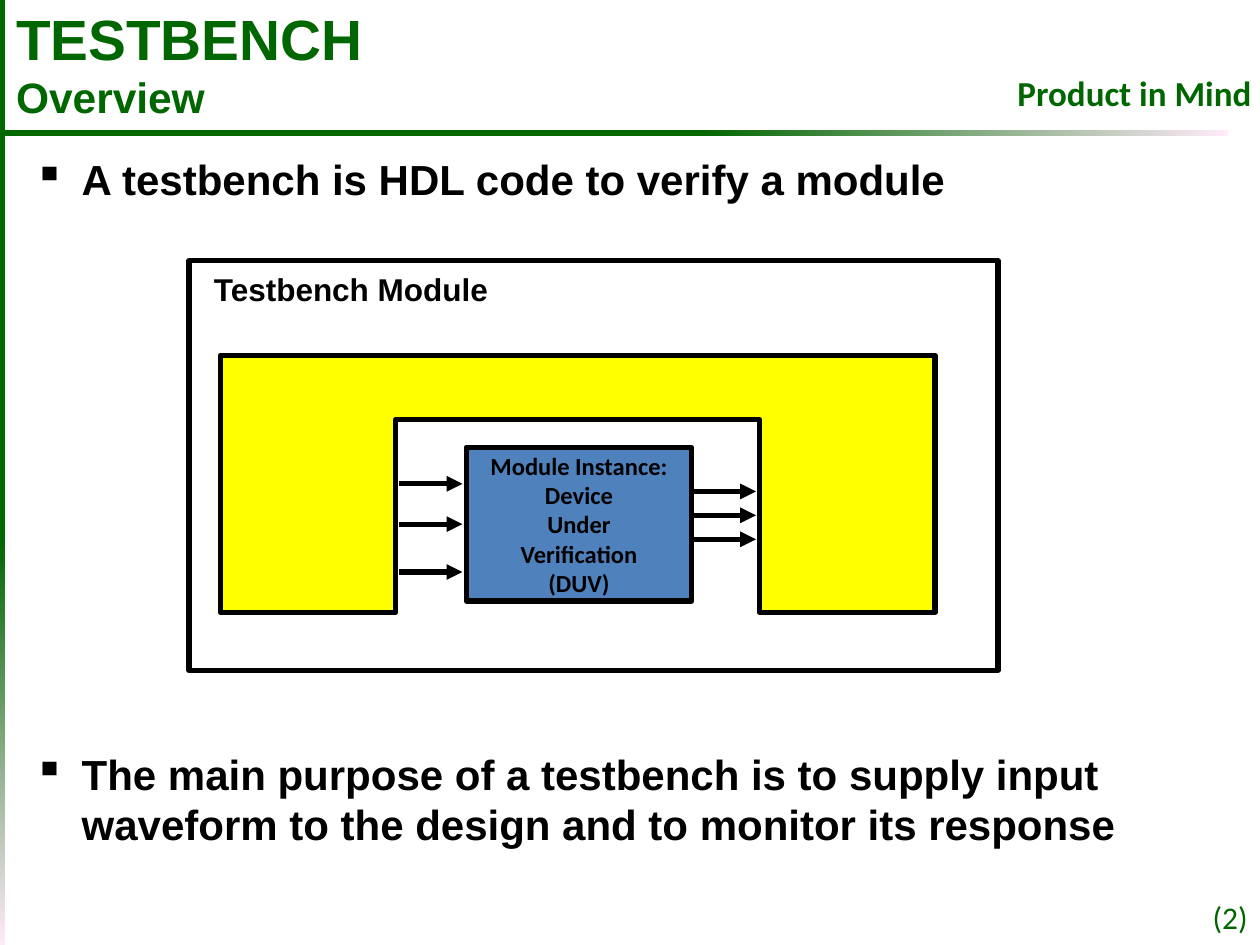
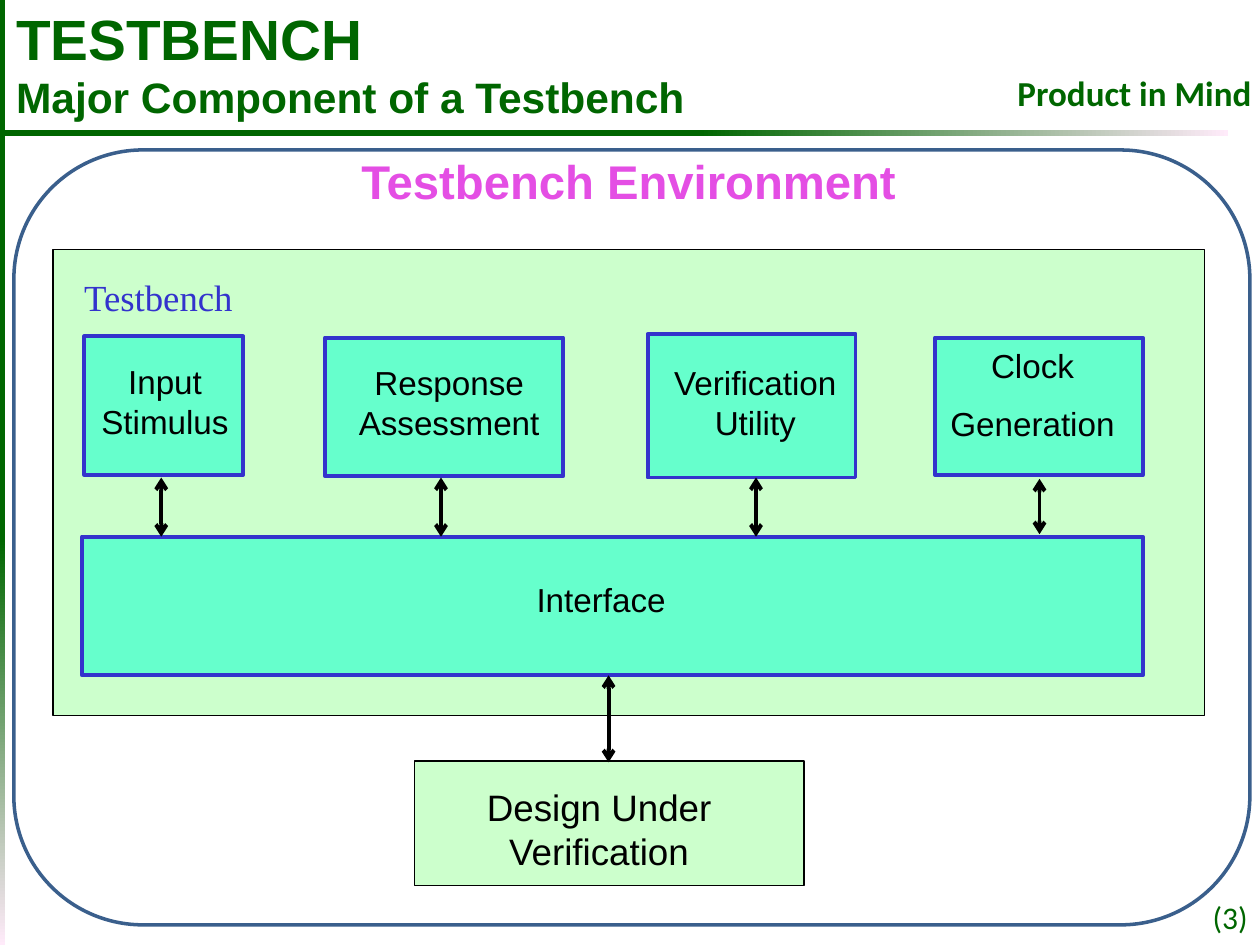
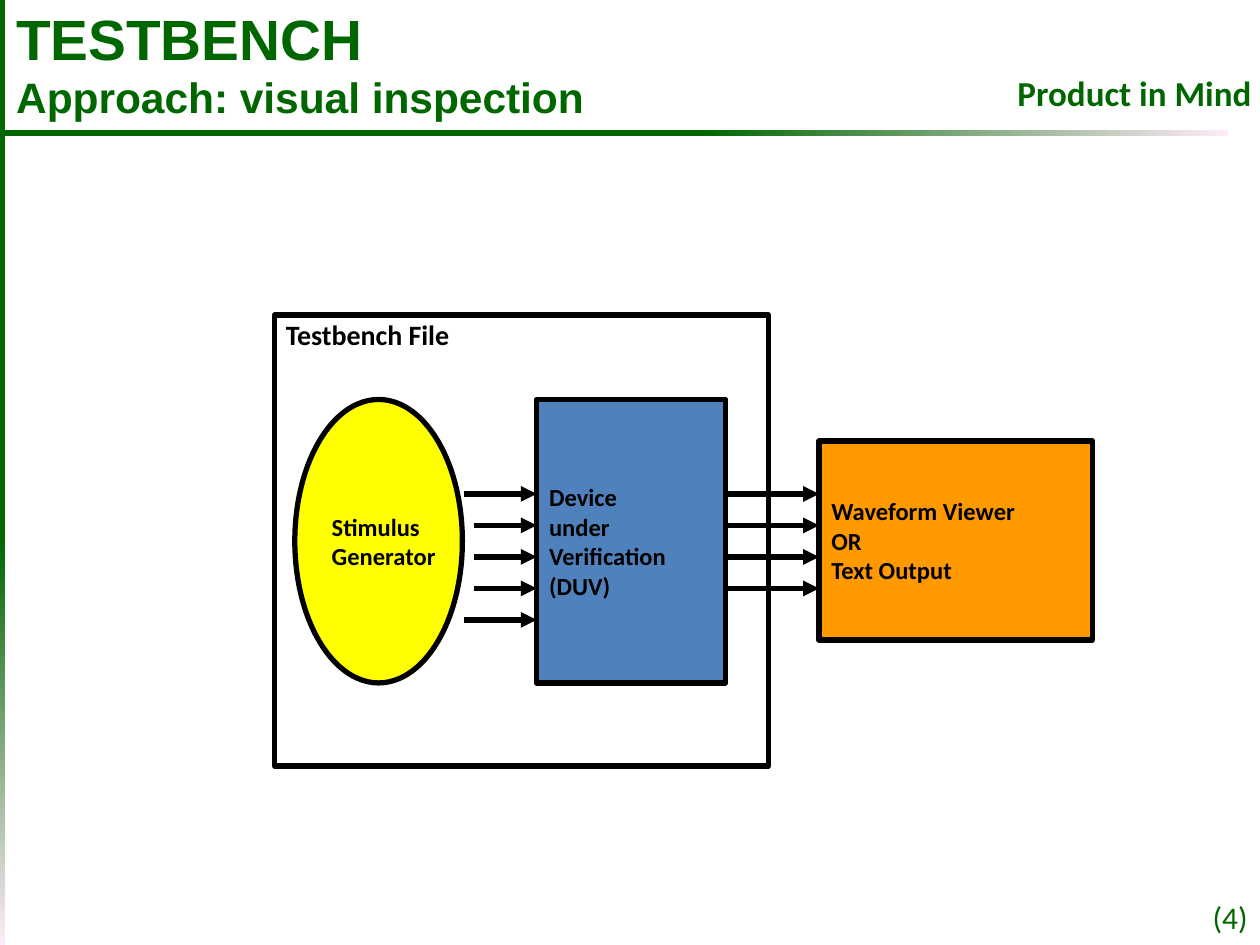
import pptx
import pptx.util
import pptx.dml.color
import pptx.enum.shapes
import pptx.enum.text
import pptx.oxml
import pptx.oxml.ns

RGBColor = pptx.dml.color.RGBColor
Pt = pptx.util.Pt
Inches = pptx.util.Inches
SHAPE = pptx.enum.shapes.MSO_SHAPE
LEFT, CENTER, RIGHT = (pptx.enum.text.PP_ALIGN.LEFT, pptx.enum.text.PP_ALIGN.CENTER,
                       pptx.enum.text.PP_ALIGN.RIGHT)
TOP, MIDDLE = pptx.enum.text.MSO_ANCHOR.TOP, pptx.enum.text.MSO_ANCHOR.MIDDLE

GREEN = RGBColor(0x00, 0x66, 0x00)
PALE_PINK = RGBColor(0xFF, 0xEB, 0xFA)
BLACK = RGBColor(0x00, 0x00, 0x00)
YELLOW = RGBColor(0xFF, 0xFF, 0x00)
BLUE = RGBColor(0x4F, 0x81, 0xBD)
ORANGE = RGBColor(0xFF, 0x99, 0x00)
MINT = RGBColor(0xCC, 0xFF, 0xCC)
AQUA = RGBColor(0x66, 0xFF, 0xCC)
INDIGO = RGBColor(0x33, 0x33, 0xCC)
MAGENTA = RGBColor(0xE4, 0x4E, 0xE4)
STEEL = RGBColor(0x3A, 0x5F, 0x8C)

SANS, BODY, SERIF = "Arial", "Calibri", "Times New Roman"
COLUMNS, ROWS = 100, 75


def add_xml(parent, tag, **attributes):
    element = pptx.oxml.parse_xml(f"<a:{tag} {pptx.oxml.ns.nsdecls('a')}/>")
    for name, value in attributes.items():
        element.set(name, value)
    parent.append(element)
    return element


class Deck:
    """Places elements on the current slide; places are (left, top, width, height) in grid cells."""

    def __init__(self):
        self.presentation = pptx.Presentation()
        self.presentation.slide_width = Inches(10)
        self.presentation.slide_height = Inches(7.5)
        self.column = self.presentation.slide_width / COLUMNS
        self.row = self.presentation.slide_height / ROWS
        self.slide = None

    def x(self, columns):
        return round(columns * self.column)

    def y(self, rows):
        return round(rows * self.row)

    def place(self, left, top, width, height):
        return self.x(left), self.y(top), self.x(width), self.y(height)

    def new_slide(self, subtitle, number):
        """Start a slide with its title, gradient bands, slogan and number."""
        self.slide = self.presentation.slides.add_slide(self.presentation.slide_layouts[6])
        self.text((92.5, 70.8, 7.5, 4), f"({number})", 18, BODY, GREEN, align=RIGHT)
        self.band((0, 0, 0.4, ROWS), 270)
        self.band((0, 10.3, 97.5, 0.5), 0)
        self.text((79.2, 5.2, 21.7, 4.4), "Product in Mind", 20, BODY, GREEN, True, CENTER)
        title = self.text((0.3, 0, 78.9, 10), f"TESTBENCH\v{subtitle}", 32.4, SANS, GREEN, True,
                          anchor=MIDDLE)
        title.text_frame.paragraphs[0].runs[1].font.size = Pt(24.3)

    def band(self, place, angle):
        band = self.shape(place, fill=GREEN)
        band.fill.gradient()
        band.fill.gradient_angle = angle
        for stop, position, color in zip(band.fill.gradient_stops, (0.57, 1), (GREEN, PALE_PINK)):
            stop.position = position
            stop.color.rgb = color

    def paint(self, shape, fill, line, weight):
        shape.shadow.inherit = False
        if fill is None:
            shape.fill.background()
        else:
            shape.fill.solid()
            shape.fill.fore_color.rgb = fill
        if line is None:
            shape.line.fill.background()
        else:
            shape.line.color.rgb = line
            shape.line.width = Pt(weight)
        return shape

    def shape(self, place, fill=None, line=None, weight=3, kind=SHAPE.RECTANGLE):
        shape = self.slide.shapes.add_shape(kind, *self.place(*place))
        return self.paint(shape, fill, line, weight)

    def outline(self, points, fill, line, weight=3):
        corners = [(self.x(left), self.y(top)) for left, top in points]
        builder = self.slide.shapes.build_freeform(*corners[0])
        builder.add_line_segments(corners[1:], close=True)
        return self.paint(builder.convert_to_shape(), fill, line, weight)

    def caption(self, shape, text, size, font, color, bold=False, align=LEFT, anchor=TOP,
                wrap=True, gap=0):
        """Fill a shape with text; gap is the space in points between paragraphs."""
        frame = shape.text_frame
        frame.text = text
        frame.word_wrap = wrap
        frame.vertical_anchor = anchor
        for index, paragraph in enumerate(frame.paragraphs):
            paragraph.alignment = align
            paragraph.font.size = Pt(size)
            paragraph.font.name = font
            paragraph.font.bold = bold
            paragraph.font.color.rgb = color
            if index and gap:
                paragraph.space_before = Pt(gap)
        return shape

    def text(self, place, text, size, font=SANS, color=BLACK, *style, **options):
        box = self.slide.shapes.add_textbox(*self.place(*place))
        return self.caption(box, text, size, font, color, *style, **options)

    def node(self, place, text, fill, align=LEFT, kind=SHAPE.RECTANGLE):
        """A heavy-bordered block with its own bold caption."""
        shape = self.shape(place, fill, BLACK, kind=kind)
        return self.caption(shape, text, 14, BODY, BLACK, True, align, MIDDLE, wrap=False)

    def bullets(self, place, items, gap):
        box = self.text(place, "\n".join(items), 24, SANS, BLACK, True, gap=gap)
        indent = Inches(0.38)
        for paragraph in box.text_frame.paragraphs:
            properties = paragraph._p.get_or_add_pPr()
            properties.set("marL", str(indent))
            properties.set("indent", str(-indent))
            bullet = add_xml(properties, "buChar", char="▪")
            properties.find(pptx.oxml.ns.qn("a:defRPr")).addprevious(bullet)

    def arrow(self, start, end, weight=3, tip="triangle", both=False):
        connector = self.slide.shapes.add_connector(
            pptx.enum.shapes.MSO_CONNECTOR.STRAIGHT,
            self.x(start[0]), self.y(start[1]), self.x(end[0]), self.y(end[1]))
        connector.line.color.rgb = BLACK
        connector.line.width = Pt(weight)
        line = connector.line._get_or_add_ln()
        if both:
            add_xml(line, "headEnd", type=tip)
        add_xml(line, "tailEnd", type=tip)
        add_xml(connector._element.spPr, "effectLst")

    def arrows(self, left, right, rows):
        for row in rows:
            self.arrow((left, row), (right, row))


def overview(deck):
    deck.new_slide("Overview", 2)
    deck.bullets((1.7, 11.7, 95.8, 62.5), [
        "A testbench is HDL code to verify a module",
        "The main purpose of a testbench is to supply input waveform to the design"
        " and to monitor its response"], gap=311)
    deck.node((37, 35.5, 17.9, 12.2), "Module Instance:\vDevice\vUnder\vVerification\v(DUV)",
              BLUE, CENTER)
    deck.shape((15, 20.7, 64.2, 32.5), line=BLACK)
    deck.text((16, 21.3, 39.3, 3.3), "Testbench Module", 18, SANS, BLACK, True, anchor=MIDDLE)
    deck.outline([(31.4, 48.6), (31.4, 33.3), (60.3, 33.3), (60.3, 48.6), (74.2, 48.6),
                  (74.2, 28.2), (17.5, 28.2), (17.5, 48.6)], YELLOW, BLACK)
    deck.arrows(31.7, 36.7, (38.4, 41.6, 45.4))
    deck.arrows(54.9, 60, (39, 40.9, 42.8))


def components(deck):
    deck.new_slide("Major Component of a Testbench", 3)
    deck.shape((32.9, 60.4, 30.9, 9.9), MINT, BLACK, 0.75)
    deck.shape((4.2, 19.8, 91.4, 37), MINT, BLACK, 0.75)
    deck.text((7.4, 11.9, 85, 4.9), "Testbench Environment", 27, SANS, MAGENTA, True, CENTER, MIDDLE)
    blocks = [
        ((6.7, 26.7, 12.6, 11), (6.8, 28.2, 12.6, 7.4), "Input Stimulus"),
        ((25.8, 26.8, 18.9, 11), (26.6, 28.3, 18.1, 7.4), "Response Assessment"),
        ((51.4, 26.5, 16.5, 11.4), (52.1, 28.3, 15.7, 7.4), "Verification Utility"),
        ((74.2, 26.8, 16.5, 10.9), (74.1, 26.9, 15.7, 13.8), "Clock\nGeneration"),
        ((6.5, 42.6, 84.2, 11), (41.6, 45.5, 14.8, 4.2), "Interface"),
    ]
    for block, caption_place, caption in blocks:
        deck.shape(block, AQUA, INDIGO, 2.25)
        align = LEFT if caption == "Interface" else CENTER
        deck.text(caption_place, caption, 19, align=align, gap=10.7)
    deck.text((5.7, 21.3, 18.9, 4.5), "Testbench", 21, SERIF, INDIGO)
    deck.text((32.9, 61.8, 29.3, 8), "Design Under Verification", 21, align=CENTER)
    links = [(48.3, 53.6, 60.5), (12.8, 37.9, 42.6), (35, 37.9, 42.6), (60, 37.9, 42.6),
             (82.5, 38, 42.4)]
    for column, top, bottom in links:
        deck.arrow((column, top), (column, bottom), 2.25, "arrow", both=True)
    deck.shape((1.1, 11.9, 98.1, 61.5), line=STEEL, weight=2, kind=SHAPE.ROUNDED_RECTANGLE)


def visual_inspection(deck):
    deck.new_slide("Approach: visual inspection", 4)
    signals = [39.2 + 2.5 * index for index in range(5)]
    deck.node((42.6, 31.7, 15, 22.5), "Device\vunder\vVerification\v(DUV)", BLUE)
    deck.shape((21.8, 25, 39.2, 35.8), line=BLACK)
    deck.node((23.4, 31.7, 13.3, 22.5), "Stimulus\nGenerator", YELLOW, kind=SHAPE.OVAL)
    deck.text((21.7, 24.7, 23.4, 3.7), "Testbench File", 16, BODY, BLACK, True, anchor=MIDDLE)
    deck.arrows(36.8, 42.6, (signals[0], signals[-1]))
    deck.arrows(37.6, 42.6, signals[1:-1])
    deck.arrows(57.5, 65, signals[:-1])
    deck.node((65, 35, 21.7, 15.8), "Waveform Viewer\nOR\nText Output", ORANGE)


def main():
    deck = Deck()
    overview(deck)
    components(deck)
    visual_inspection(deck)
    deck.presentation.save("out.pptx")


if __name__ == "__main__":
    main()
